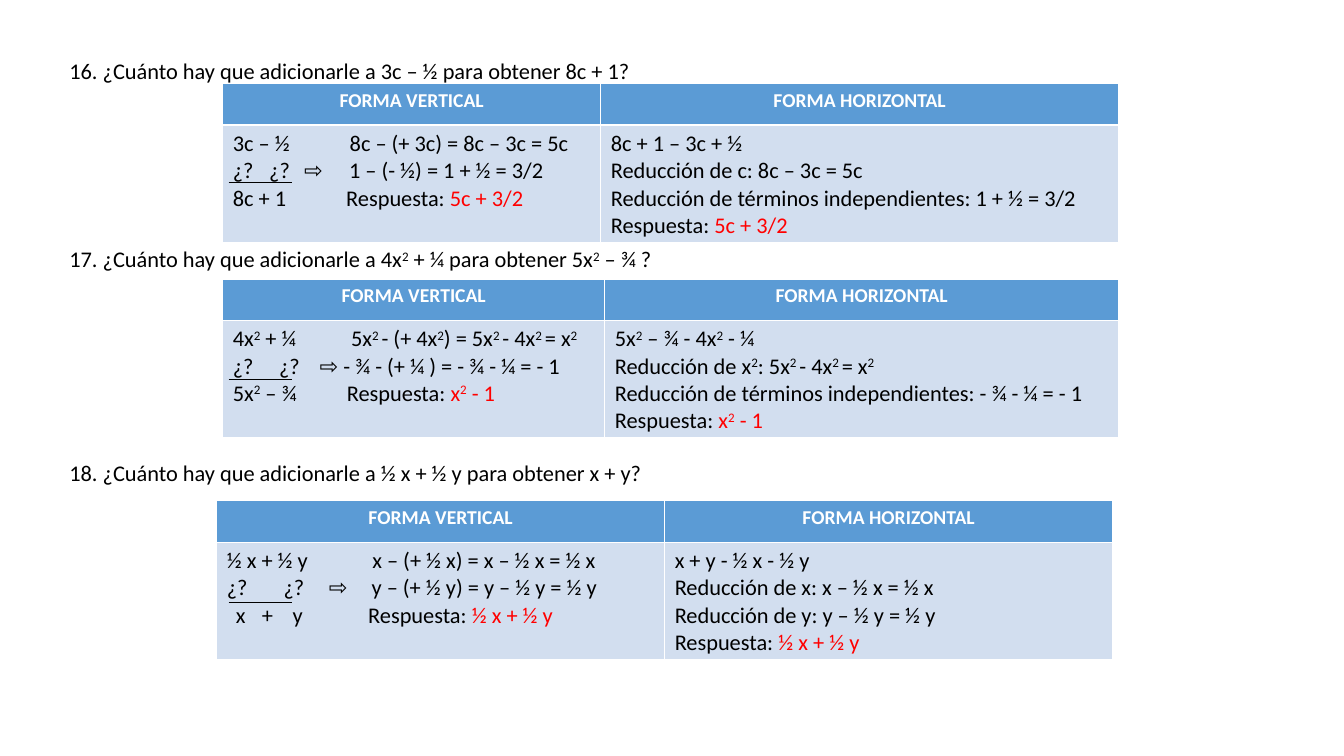
from dataclasses import dataclass

from lxml.etree import SubElement
from pptx import Presentation
from pptx.dml.color import RGBColor
from pptx.enum.shapes import MSO_CONNECTOR
from pptx.enum.text import PP_ALIGN
from pptx.oxml.ns import qn
from pptx.slide import Slide
from pptx.text.text import TextFrame
from pptx.util import Pt

BLACK, WHITE, RED = "000000", "FFFFFF", "FF0000"
HEADER_FILL, BODY_FILL = "5B9BD5", "D2DEEF"
HEADINGS = ("FORMA VERTICAL", "FORMA HORIZONTAL")
HEADER_HEIGHT, BODY_HEIGHT = 29.5, 84


@dataclass
class Line:
    """A line of text: ^ toggles superscript, ~ toggles red, tabs are stops in points."""

    text: str
    tabs: tuple[float, ...] = ()


@dataclass
class Exercise:
    """A question with its two solution forms and the rule under the vertical sum."""

    question: str
    question_top: float
    table_left: float
    table_top: float
    column_widths: tuple[float, float]
    rule_top: float
    vertical: list[Line]
    horizontal: list[Line]


EXERCISES = [
    Exercise(
        "16. ¿Cuánto hay que adicionarle a 3c – ½ para obtener 8c + 1?",
        37.4, 159.1, 59.8, (270, 370), 130.3,
        [
            Line("3c – ½\t8c – (+ 3c) = 8c – 3c = 5c", (83.5,)),
            Line("¿?\t¿?\t⇨\t1 – (- ½) = 1 + ½ = 3/2", (26, 51, 83)),
            Line("8c + 1\tRespuesta: ~5c + 3/2~", (81,)),
        ],
        [
            Line("8c + 1 – 3c + ½"),
            Line("Reducción de c: 8c – 3c = 5c"),
            Line("Reducción de términos independientes: 1 + ½ = 3/2"),
            Line("Respuesta: ~5c + 3/2~"),
        ],
    ),
    Exercise(
        "17. ¿Cuánto hay que adicionarle a 4x^2^ + ¼ para obtener 5x^2^ – ¾ ?",
        171.7, 159.1, 199.4, (272.9, 367.1), 270.7,
        [
            Line("4x^2^ + ¼\t5x^2 ^- (+ 4x^2^) = 5x^2 ^- 4x^2 ^= x^2^", (84.5,)),
            Line("¿?\t¿?\t⇨ - ¾ - (+ ¼ ) = - ¾ - ¼ = - 1", (33, 62)),
            Line("5x^2^ – ¾\tRespuesta: ~x^2^ - 1~", (81.5,)),
        ],
        [
            Line("5x^2^ – ¾ - 4x^2^ - ¼"),
            Line("Reducción de x^2^: 5x^2 ^- 4x^2 ^= x^2^"),
            Line("Reducción de términos independientes: - ¾ - ¼ = - 1"),
            Line("Respuesta: ~x^2^ - 1~"),
        ],
    ),
    Exercise(
        "18. ¿Cuánto hay que adicionarle a ½ x + ½ y para obtener x + y?",
        324.5, 154.8, 357.8, (320, 320), 430.6,
        [
            Line("½ x + ½ y\tx – (+ ½ x) = x – ½ x = ½ x", (104,)),
            Line("¿?\t¿?\t⇨\ty – (+ ½ y) = y – ½ y = ½ y", (40.5, 73, 103.5)),
            Line("\tx\t+\ty\tRespuesta: ~½ x + ½ y~", (6.5, 25, 47, 101)),
        ],
        [
            Line("x + y - ½ x - ½ y"),
            Line("Reducción de x: x – ½ x = ½ x"),
            Line("Reducción de y: y – ½ y = ½ y"),
            Line("Respuesta: ~½ x + ½ y~"),
        ],
    ),
]


def color(value: str) -> RGBColor:
    """Turn a hex string into a colour."""
    return RGBColor.from_string(value)


def write_lines(text_frame: TextFrame, lines: list[Line]) -> None:
    """Write one paragraph per line, with its tab stops, superscripts and red parts."""
    for index, line in enumerate(lines):
        paragraph = text_frame.add_paragraph() if index else text_frame.paragraphs[0]
        if line.tabs:
            tab_list = SubElement(paragraph._p.get_or_add_pPr(), qn("a:tabLst"))
            for position in line.tabs:
                SubElement(tab_list, qn("a:tab"), pos=str(Pt(position)), algn="l")
        for red, part in enumerate(line.text.split("~")):
            for raised, piece in enumerate(part.split("^")):
                if not piece:
                    continue
                run = paragraph.add_run()
                run.text = piece
                run.font.name, run.font.size = "Calibri", Pt(16)
                run.font.color.rgb = color(RED if red % 2 else BLACK)
                if raised % 2:
                    run._r.get_or_add_rPr().set("baseline", "30000")


def add_question(slide: Slide, exercise: Exercise) -> None:
    """Add the question above its table."""
    box = slide.shapes.add_textbox(Pt(42.5), Pt(exercise.question_top), Pt(828), Pt(27))
    box.text_frame.word_wrap = True
    write_lines(box.text_frame, [Line(exercise.question)])


def add_solution(slide: Slide, exercise: Exercise) -> None:
    """Add the table with the vertical and horizontal solutions."""
    table = slide.shapes.add_table(
        2, 2, Pt(exercise.table_left), Pt(exercise.table_top),
        Pt(sum(exercise.column_widths)), Pt(HEADER_HEIGHT + BODY_HEIGHT),
    ).table
    table.rows[0].height, table.rows[1].height = Pt(HEADER_HEIGHT), Pt(BODY_HEIGHT)
    for column, lines in enumerate((exercise.vertical, exercise.horizontal)):
        table.columns[column].width = Pt(exercise.column_widths[column])
        header, body = table.cell(0, column), table.cell(1, column)
        for cell, fill in ((header, HEADER_FILL), (body, BODY_FILL)):
            cell.fill.solid()
            cell.fill.fore_color.rgb = color(fill)
        header.text_frame.text = HEADINGS[column]
        paragraph = header.text_frame.paragraphs[0]
        paragraph.alignment = PP_ALIGN.CENTER
        font = paragraph.runs[0].font
        font.name, font.size, font.bold = "Calibri", Pt(14), True
        font.color.rgb = color(WHITE)
        write_lines(body.text_frame, lines)


def add_rule(slide: Slide, top: float) -> None:
    """Add the thin rule under the terms of a vertical sum."""
    rule = slide.shapes.add_connector(
        MSO_CONNECTOR.STRAIGHT, Pt(163.4), Pt(top), Pt(208.8), Pt(top)
    )
    rule.line.color.rgb = color(BLACK)
    rule.line.width = Pt(0.5)
    SubElement(rule._element.spPr, qn("a:effectLst"))


def main() -> None:
    """Build and save the slide."""
    presentation = Presentation()
    presentation.slide_width, presentation.slide_height = Pt(960), Pt(540)
    slide = presentation.slides.add_slide(presentation.slide_layouts[6])
    for exercise in EXERCISES:
        add_question(slide, exercise)
        add_solution(slide, exercise)
        add_rule(slide, exercise.rule_top)
    presentation.save("out.pptx")


if __name__ == "__main__":
    main()
